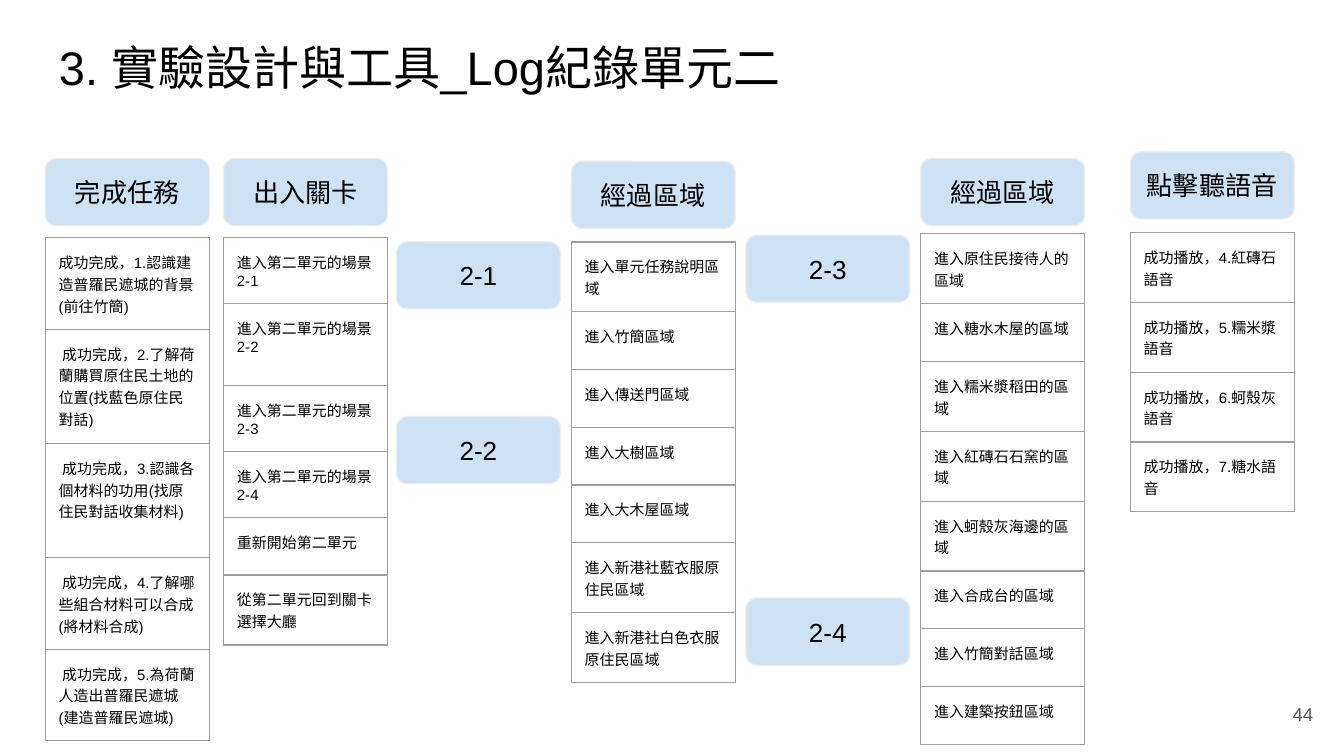
from lxml.etree import SubElement
from pptx import Presentation
from pptx.dml.color import RGBColor
from pptx.enum.shapes import MSO_SHAPE as Shape
from pptx.enum.text import MSO_ANCHOR as Anchor, PP_ALIGN as Align
from pptx.oxml.ns import qn
from pptx.util import Inches, Pt

SLIDE_W = 10
SLIDE_H = SLIDE_W * 9 / 16
FIRST_LEFT, COLUMN_STEP = 0.35, 1.3
BOX_W, BOX_H = 1.22, 0.5
INSET = 0.1

# Row heights by number of text lines
ONE, TWO, THREE, FOUR = 0.43, 0.52, 0.68, 0.85
SCENE_ROW, TALL_SCENE_ROW = 0.49, 0.61

# Column position, header top, header, table top, entries, row heights
LOG_COLUMNS = [
    (-0.01, 1.18, "完成任務", 1.77, [
        "成功完成，1.認識建造普羅民遮城的背景(前往竹簡)",
        " 成功完成，2.了解荷蘭購買原住民土地的位置(找藍色原住民對話)",
        " 成功完成，3.認識各個材料的功用(找原住民對話收集材料)",
        " 成功完成，4.了解哪些組合材料可以合成(將材料合成)",
        " 成功完成，5.為荷蘭人造出普羅民遮城(建造普羅民遮城)"],
        [THREE, FOUR, FOUR, THREE, THREE]),
    (1.01, 1.18, "出入關卡", 1.77, [
        *[f"進入第二單元的場景2-{number}" for number in range(1, 5)],
        "重新開始第二單元", "從第二單元回到關卡選擇大廳"],
        [SCENE_ROW, TALL_SCENE_ROW, SCENE_ROW, SCENE_ROW, ONE, TWO]),
    (3, 1.2, "經過區域", 1.8, [
        "進入單元任務說明區域", "進入竹簡區域", "進入傳送門區域", "進入大樹區域",
        "進入大木屋區域", "進入新港社藍衣服原住民區域",
        "進入新港社白色衣服原住民區域"],
        [TWO, ONE, ONE, ONE, ONE, TWO, TWO]),
    (5, 1.18, "經過區域", 1.74, [
        "進入原住民接待人的區域", "進入糖水木屋的區域", "進入糯米漿稻田的區域",
        "進入紅磚石石窯的區域", "進入蚵殼灰海邊的區域", "進入合成台的區域",
        "進入竹簡對話區域", "進入建築按鈕區域"],
        [TWO, ONE, TWO, TWO, TWO, ONE, ONE, ONE]),
    (6.2, 1.13, "點擊聽語音", 1.73, [
        "成功播放，4.紅磚石語音", "成功播放，5.糯米漿語音",
        "成功播放，6.蚵殼灰語音", "成功播放，7.糖水語音"], [TWO] * 4),
]

# Column position, top, scene label
SCENES = [(2, 1.8, "2-1"), (2, 3.1, "2-2"), (4, 1.75, "2-3"), (4, 4.45, "2-4")]


def color(value):
    return RGBColor.from_string(value)


def column_left(position):
    return FIRST_LEFT + position * COLUMN_STEP


def write(frame, text, size, align=Align.LEFT, ink="000000"):
    frame.word_wrap = True
    frame.text = text
    para = frame.paragraphs[0]
    para.alignment = align
    for span in para.runs:
        span.font.name = "Arial"
        span.font.size = Pt(size)
        span.font.color.rgb = color(ink)


def set_insets(target):
    target.margin_left = target.margin_right = Inches(INSET)
    target.margin_top = target.margin_bottom = Inches(INSET)


def add_label(page, left, top, width, height, text, size, anchor=Anchor.TOP, **style):
    box = page.shapes.add_textbox(*map(Inches, (left, top, width, height)))
    set_insets(box.text_frame)
    box.text_frame.vertical_anchor = anchor
    write(box.text_frame, text, size, **style)


def add_card(page, left, top, text):
    card = page.shapes.add_shape(
        Shape.ROUNDED_RECTANGLE, *map(Inches, (left, top, BOX_W, BOX_H)))
    card.shadow.inherit = False
    card.fill.solid()
    card.fill.fore_color.rgb = color("CFE2F3")
    card.line.color.rgb = color("EEEEEE")
    card.line.width = Pt(0.75)
    set_insets(card.text_frame)
    card.text_frame.vertical_anchor = Anchor.MIDDLE
    write(card.text_frame, text, 14, Align.CENTER)


def add_borders(cell):
    properties = cell._tc.get_or_add_tcPr()
    for position, side in enumerate(("a:lnL", "a:lnR", "a:lnT", "a:lnB")):
        line = SubElement(properties, qn(side), w=str(Pt(0.75)))
        properties.insert(position, line)
        fill = SubElement(line, qn("a:solidFill"))
        SubElement(fill, qn("a:srgbClr"), val="9E9E9E")


def add_log_table(page, left, top, entries, heights):
    table = page.shapes.add_table(
        len(entries), 1, *map(Inches, (left, top, BOX_W, sum(heights)))).table
    table.first_row = table.horz_banding = False
    for row, height, entry in zip(table.rows, heights, entries):
        row.height = Inches(height)
        cell = row.cells[0]
        set_insets(cell)
        cell.fill.background()
        add_borders(cell)
        write(cell.text_frame, entry, 8)


def add_log_column(page, position, header_top, header, table_top, entries, heights):
    left = column_left(position)
    add_card(page, left, header_top, header)
    add_log_table(page, left, table_top, entries, heights)


def main():
    deck = Presentation()
    deck.slide_width, deck.slide_height = Inches(SLIDE_W), Inches(SLIDE_H)
    page = deck.slides.add_slide(deck.slide_layouts[6])

    # Title
    add_label(page, 0.34, 0.19, 6.71, 0.63, "3. 實驗設計與工具_Log紀錄單元二", 25.2)

    # Log columns with their headers
    for log_column in LOG_COLUMNS:
        add_log_column(page, *log_column)

    # Scene cards between the columns
    for position, top, scene in SCENES:
        add_card(page, column_left(position), top, scene)

    # Page number
    add_label(page, 9.27, 5.1, 0.6, 0.43, "44", 10, Anchor.MIDDLE,
              align=Align.RIGHT, ink="595959")

    deck.save("out.pptx")


if __name__ == "__main__":
    main()
